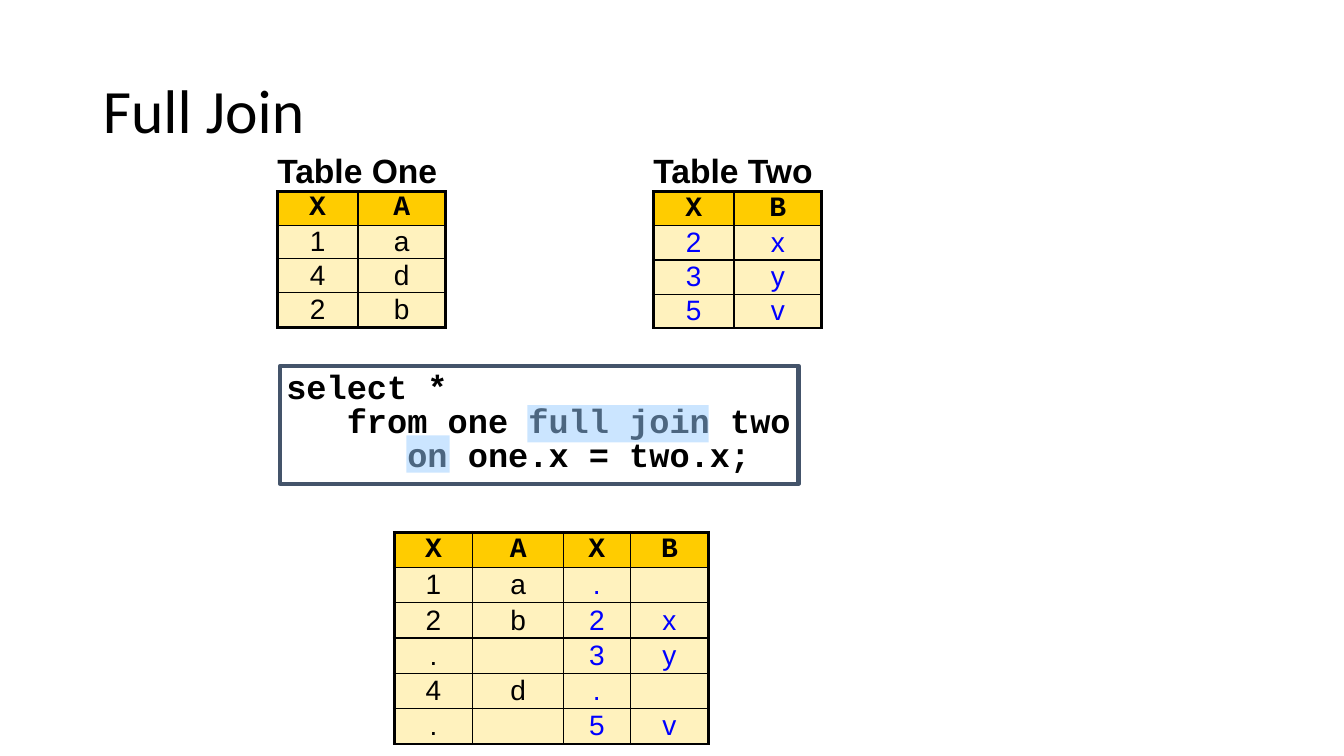
from dataclasses import dataclass

from lxml import etree
from pptx import Presentation
from pptx.dml.color import RGBColor
from pptx.enum.shapes import MSO_SHAPE
from pptx.enum.text import MSO_ANCHOR, MSO_AUTO_SIZE, PP_ALIGN
from pptx.oxml.ns import qn
from pptx.util import Pt

RECT = MSO_SHAPE.RECTANGLE
LEFT, CENTER = PP_ALIGN.LEFT, PP_ALIGN.CENTER
TOP, MIDDLE = MSO_ANCHOR.TOP, MSO_ANCHOR.MIDDLE
GROW = MSO_AUTO_SIZE.SHAPE_TO_FIT_TEXT
EMU_PER_PX = 9144  # 100 px to the inch
TITLE_ONLY = 5


@dataclass(frozen=True)
class Theme:
    black: str = "000000"
    blue: str = "0000FF"
    white: str = "FFFFFF"
    frame: str = "44546A"
    header: str = "FFCC00"
    body: str = "FFF2BE"
    highlight: str = "99CCFF"
    title_font: str = "Calibri"
    text_font: str = "Arial"
    code_font: str = "Courier New"
    title_size: int = 44
    large: int = 24
    cell_size: int = 20
    thick: float = 2.25
    thin: float = 1


T = Theme()


def px(n):
    return n * EMU_PER_PX


def box(*lengths):
    return [px(n) for n in lengths]


def rgb(color):
    return RGBColor.from_string(color)


def add_run(p, text, font, size, color=T.black, bold=False):
    r = p.add_run()
    r.text = text
    r.font.name = font
    r.font.size = Pt(size)
    r.font.bold = bold
    r.font.color.rgb = rgb(color)


def add_title(s, text):
    title = s.shapes.title
    title.left, title.top, title.width, title.height = box(92, 40, 1150, 145)
    tf = title.text_frame
    tf.vertical_anchor = MIDDLE
    p = tf.paragraphs[0]
    p.alignment = LEFT
    p.line_spacing = 0.9
    add_run(p, text, T.title_font, T.title_size)


def add_code(s, lines, bounds):
    sp = s.shapes.add_shape(RECT, *box(*bounds))
    sp.shadow.inherit = False
    sp.fill.solid()
    sp.fill.fore_color.rgb = rgb(T.white)
    sp.line.color.rgb = rgb(T.frame)
    sp.line.width = Pt(3)
    tf = sp.text_frame
    tf.word_wrap = False
    tf.auto_size = GROW
    tf.vertical_anchor = TOP
    tf.margin_left = tf.margin_right = tf.margin_top = tf.margin_bottom = px(6)
    for i, line in enumerate(lines):
        p = tf.add_paragraph() if i else tf.paragraphs[0]
        p.alignment = LEFT
        p.line_spacing = 0.85
        add_run(p, line, T.code_font, T.large, bold=True)


def add_highlight(s, bounds):
    sp = s.shapes.add_shape(RECT, *box(*bounds))
    sp.shadow.inherit = False
    sp.line.fill.background()
    sp.fill.solid()
    sp.fill.fore_color.rgb = rgb(T.highlight)
    color = sp.fill._xPr.find(qn("a:solidFill"))[0]
    etree.SubElement(color, qn("a:alpha"), val="50000")


def set_borders(cell, widths):
    """Widths are points for left, right, top and bottom; 0 means no line."""
    tc_pr = cell._tc.get_or_add_tcPr()
    for i, (side, width) in enumerate(zip("LRTB", widths)):
        ln = etree.Element(qn(f"a:ln{side}"), w=str(int(Pt(width))))
        if width:
            fill = etree.SubElement(ln, qn("a:solidFill"))
            etree.SubElement(fill, qn("a:srgbClr"), val=T.black)
        else:
            etree.SubElement(ln, qn("a:noFill"))
        tc_pr.insert(i, ln)


def add_caption(table, text):
    cells = list(table.rows[0].cells)
    cells[0].merge(cells[-1])
    for cell in cells:
        cell.margin_left = cell.margin_right = 0
        cell.margin_top = cell.margin_bottom = 0
        cell.vertical_anchor = MIDDLE
        cell.fill.background()
        set_borders(cell, (0, 0, 0, T.thick))
    if text:
        add_run(cells[0].text_frame.paragraphs[0], text, T.text_font, T.large, bold=True)


def add_data_table(s, caption, rows, at, widths, heights, blue_columns=()):
    """Draw a caption row, a header row and body rows in a thick outline."""
    n_rows, n_cols = len(rows) + 1, len(widths)
    bounds = box(*at, sum(widths), sum(heights))
    table = s.shapes.add_table(n_rows, n_cols, *bounds).table
    table.first_row = table.horz_banding = False
    for column, width in zip(table.columns, widths):
        column.width = px(width)
    for row, height in zip(table.rows, heights):
        row.height = px(height)
    add_caption(table, caption)

    for r, values in enumerate(rows, 1):
        header = r == 1
        for c, text in enumerate(values):
            cell = table.cell(r, c)
            cell.margin_left = cell.margin_right = px(10)
            cell.margin_top = cell.margin_bottom = 0
            cell.vertical_anchor = MIDDLE
            cell.fill.solid()
            cell.fill.fore_color.rgb = rgb(T.header if header else T.body)
            outer = (c == 0, c == n_cols - 1, header, r == n_rows - 1)
            set_borders(cell, [T.thick if edge else T.thin for edge in outer])
            p = cell.text_frame.paragraphs[0]
            p.alignment = CENTER
            if text:
                font = T.code_font if header else T.text_font
                color = T.blue if c in blue_columns and not header else T.black
                add_run(p, text, font, T.cell_size, color, bold=header)


def main():
    prs = Presentation()
    prs.slide_width, prs.slide_height = box(1333, 750)
    s = prs.slides.add_slide(prs.slide_layouts[TITLE_ONLY])

    add_title(s, "Full Join")
    code = ["select *", "   from one full join two", "      on one.x = two.x;"]
    add_code(s, code, (278, 363, 514, 117))

    add_data_table(s, "Table One", ["XA", "1a", "4d", "2b"], (275, 150),
                   [80, 87], [40, 33, 33, 33, 35])
    add_data_table(s, "Table Two", ["XB", "2x", "3y", "5v"], (648, 150),
                   [80, 87], [40, 34, 34, 34, 33], blue_columns=(0, 1))
    joined = [
        ("X", "A", "X", "B"),
        ("1", "a", ".", ""),
        ("2", "b", "2", "x"),
        (".", "", "3", "y"),
        ("4", "d", ".", ""),
        (".", "", "5", "v"),
    ]
    add_data_table(s, "", joined, (391, 487), [78, 90, 66, 78],
                   [41] + [35] * len(joined), blue_columns=(2, 3))

    add_highlight(s, (523, 402, 180, 37))
    add_highlight(s, (403, 432, 43, 37))
    prs.save("out.pptx")


if __name__ == "__main__":
    main()
